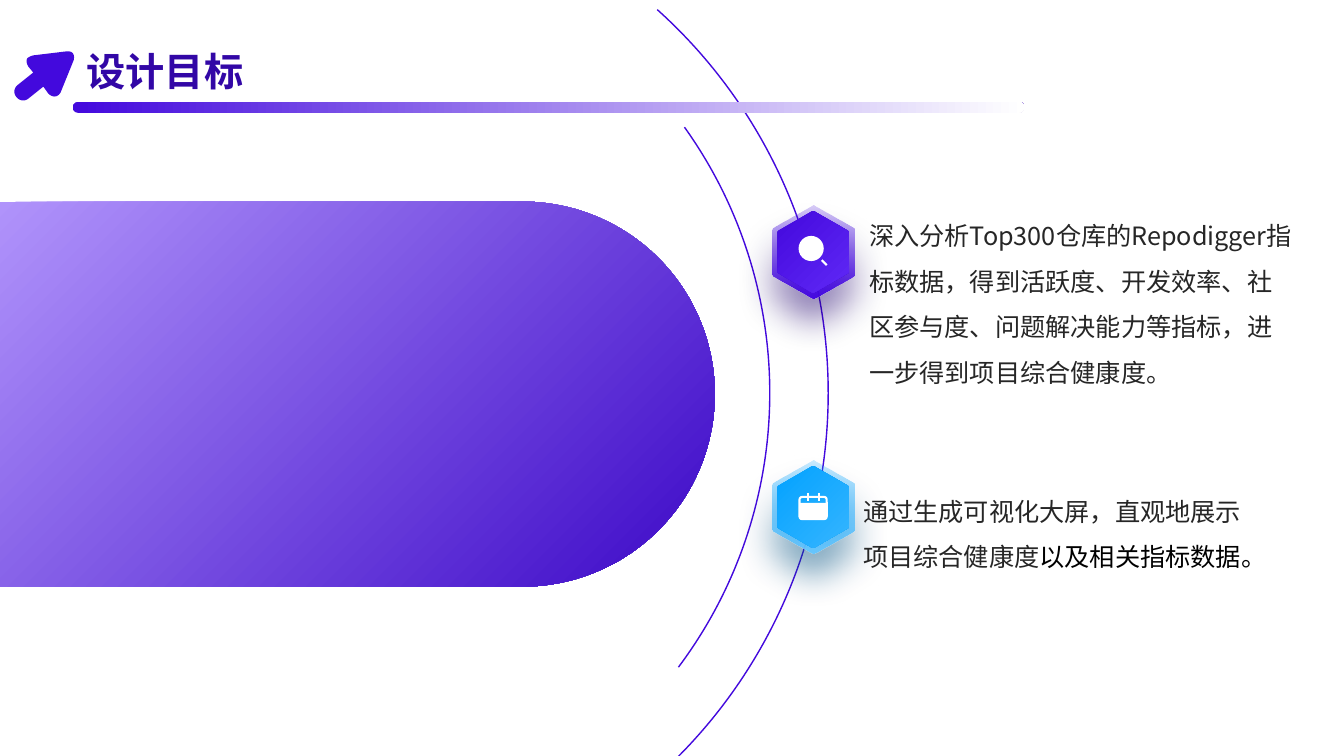
from dataclasses import dataclass
from math import cos, pi, sin

from lxml.etree import SubElement
from pptx import Presentation
from pptx.dml.color import RGBColor
from pptx.enum.shapes import MSO_CONNECTOR, MSO_SHAPE
from pptx.enum.text import MSO_ANCHOR, MSO_AUTO_SIZE, PP_ALIGN
from pptx.oxml.ns import qn
from pptx.util import Pt

PX = 9144  # EMU per px, 100 px to the inch
TITLE_ONLY = 5


@dataclass(frozen=True)
class Theme:
    font: str = "Noto Sans CJK SC"
    title_size: int = 28
    body_size: int = 18
    violet: str = "4309DD"
    title: str = "3207A6"
    body: str = "262626"
    black: str = "000000"
    white: str = "FFFFFF"
    pill: tuple = ("B093FB", "3C08C7")
    violet_badge: tuple = (("4309DD", "4509E2"), ("4309DD", "6028F6"), "21046E")
    blue_badge: tuple = (("03A2FF", "68C7FF"), ("03A2FF", "35B5FF"), "005181")


THEME = Theme()


def rgb(code):
    return RGBColor.from_string(code)


def set_attributes(target, values):
    for name, value in values.items():
        setattr(target, name, value)


# Fills and outlines
def paint(shape, colour=None, angle=0, first_alpha=None):
    """Fill with one colour, a (start, end) gradient, or nothing; angle runs clockwise."""
    shape.shadow.inherit = False
    shape.line.fill.background()
    if colour is None:
        shape.fill.background()
    elif isinstance(colour, str):
        shape.fill.solid()
        shape.fill.fore_color.rgb = rgb(colour)
    else:
        shape.fill.gradient()
        shape.fill.gradient_angle = -angle % 360
        for stop, code in zip(shape.fill.gradient_stops, colour):
            stop.color.rgb = rgb(code)
        if first_alpha is not None:
            first = next(shape.element.iter(qn("a:srgbClr")))
            SubElement(first, qn("a:alpha")).set("val", str(first_alpha * 1000))
    return shape


def outline(shape, colour, width):
    shape.line.color.rgb = rgb(colour)
    shape.line.width = Pt(width)


def drop_shadow(shape, colour, alpha=65, blur=26, distance=16):
    effects = shape.element.spPr.find(qn("a:effectLst"))
    shadow = SubElement(effects, qn("a:outerShdw"), blurRad=str(Pt(blur)),
                        dist=str(Pt(distance)), dir="5400000", algn="t", rotWithShape="0")
    code = SubElement(shadow, qn("a:srgbClr"), val=colour)
    SubElement(code, qn("a:alpha"), val=str(alpha * 1000))


# Shapes, in px
def add_preset(shapes, kind, left, top, width, height, adjustments=()):
    shape = shapes.add_shape(kind, *(round(v * PX) for v in (left, top, width, height)))
    for index, value in enumerate(adjustments):
        shape.adjustments[index] = value
    return shape


def add_outline_shape(shapes, points):
    (x, y), *rest = [(px * PX, py * PX) for px, py in points]
    builder = shapes.build_freeform(x, y, scale=1.0)
    builder.add_line_segments(rest, close=True)
    return builder.convert_to_shape()


def add_stroke(shapes, start, end, colour, width):
    line = shapes.add_connector(MSO_CONNECTOR.STRAIGHT, *(round(v * PX) for v in (*start, *end)))
    SubElement(line.element.spPr, qn("a:effectLst"))
    outline(line, colour, width)


def curve(start, first, second, end, steps=10):
    """Points of a cubic curve after its start."""
    for step in range(1, steps + 1):
        t = step / steps
        weights = ((1 - t) ** 3, 3 * t * (1 - t) ** 2, 3 * t * t * (1 - t), t ** 3)
        yield tuple(sum(w * p[axis] for w, p in zip(weights, (start, first, second, end)))
                    for axis in (0, 1))


def rounded_hexagon(left, top, width, height, cut=0.08):
    ring = ((0.5, 0), (1, 0.25), (1, 0.75), (0.5, 1), (0, 0.75), (0, 0.25))
    corners = [(left + x * width, top + y * height) for x, y in ring]
    points = []
    for index, corner in enumerate(corners):
        before, after = corners[index - 1], corners[(index + 1) % 6]
        start, end = (tuple(c + (n - c) * cut for c, n in zip(corner, near))
                      for near in (before, after))
        points += [start, *curve(start, corner, corner, end)]
    return points


# Text
def write(shape, runs, size, spacing, anchor, bold=False):
    frame = shape.text_frame
    set_attributes(frame, dict(word_wrap=True, auto_size=MSO_AUTO_SIZE.NONE,
                               vertical_anchor=anchor, margin_left=0, margin_right=0,
                               margin_top=0, margin_bottom=0))
    paragraph = frame.paragraphs[0]
    set_attributes(paragraph, dict(alignment=PP_ALIGN.LEFT, line_spacing=spacing))
    for text, colour in runs:
        run = paragraph.add_run()
        run.text = text
        set_attributes(run.font, dict(name=THEME.font, size=Pt(size), bold=bold))
        run.font.color.rgb = rgb(colour)
        SubElement(run.font._element, qn("a:ea")).set("typeface", THEME.font)


# Regions
def add_arcs(slide, center_x, center_y):
    for radius, start, end in ((511.5, 187.17, 28.46), (453.5, 194.66, 22.11)):
        arc = add_preset(slide.shapes, MSO_SHAPE.ARC, center_x - radius, center_y - radius,
                         2 * radius, 2 * radius, (start, end))
        paint(arc)
        outline(arc, THEME.violet, 1)


def add_pill(slide, left, top, width, height):
    radius = height / 2
    middle = left + width - radius
    bend = [(middle + radius * sin(pi * step / 90), top + radius - radius * cos(pi * step / 90))
            for step in range(91)]
    pill = add_outline_shape(slide.shapes, [(left, top), *bend, (left, top + height)])
    paint(pill, THEME.pill, 45)


def add_magnifier(shapes, left, top):
    paint(add_preset(shapes, MSO_SHAPE.OVAL, left, top, 25, 25), THEME.white)
    add_stroke(shapes, (left + 23, top + 24), (left + 28, top + 29), THEME.white, 1.5)


def add_calendar(shapes, left, top):
    frame = add_preset(shapes, MSO_SHAPE.ROUNDED_RECTANGLE, left + 1, top + 4, 27, 22, (0.12,))
    paint(frame)
    outline(frame, THEME.white, 1.5)
    paint(add_preset(shapes, MSO_SHAPE.RECTANGLE, left + 1, top + 10, 27, 16), THEME.white)
    for ring in (9, 20):
        add_stroke(shapes, (left + ring, top), (left + ring, top + 8), THEME.white, 1.5)


def add_badge(slide, left, top, colours, add_icon, icon_top):
    rim_colours, face_colours, shadow_colour = colours
    shapes = slide.shapes.add_group_shape().shapes
    rim = add_outline_shape(shapes, rounded_hexagon(left, top, 81, 94))
    paint(rim, rim_colours, 90, first_alpha=20)
    drop_shadow(rim, shadow_colour)
    face = add_outline_shape(shapes, rounded_hexagon(left + 5, top + 6, 71, 82))
    paint(face, face_colours, 45)
    add_icon(shapes, left + 26, top + icon_top)


def add_goal(slide, left, top, width, height, runs):
    box = slide.shapes.add_textbox(*(v * PX for v in (left, top, width, height)))
    write(box, runs, THEME.body_size, 1.5, MSO_ANCHOR.TOP)


def add_heading(slide, left, top, text):
    title = slide.shapes.title
    set_attributes(title, dict(left=(left + 77) * PX, top=top * PX,
                               width=1167 * PX, height=51 * PX))
    write(title, [(text, THEME.title)], THEME.title_size, 1.1, MSO_ANCHOR.MIDDLE, bold=True)
    rule = add_preset(slide.shapes, MSO_SHAPE.ROUNDED_RECTANGLE, left + 63, top + 59,
                      944, 11, (0.5,))
    paint(rule, (THEME.violet, THEME.white))
    # Arrow: straight steps have one point, curved steps three
    steps = [[(18, 16)], [(17, 18), (17, 20), (19, 24)], [(24, 30)], [(9, 42)],
             [(5, 45), (4, 50), (7, 54)], [(10, 58), (15, 59), (19, 56)], [(34, 44)],
             [(39, 51)], [(39, 51), (46, 58), (51, 50)], [(64, 18)],
             [(64, 18), (67, 8), (57, 9)], [(24, 13)], [(24, 13), (20, 14), (18, 16)]]
    points = []
    for step in steps:
        points += step if len(step) == 1 else curve(points[-1], *step)
    arrow = add_outline_shape(slide.shapes, [(left + x, top + y) for x, y in points])
    paint(arrow, THEME.violet)


def main():
    presentation = Presentation()
    set_attributes(presentation, dict(slide_width=1333 * PX, slide_height=750 * PX))
    slide = presentation.slides.add_slide(presentation.slide_layouts[TITLE_ONLY])
    add_arcs(slide, 310, 390)
    add_pill(slide, 0, 200, 709, 382)
    add_badge(slide, 766, 203, THEME.violet_badge, add_magnifier, 31)
    add_goal(slide, 862, 204, 420, 169, [
        ("深入分析Top300仓库的Repodigger指标数据，得到活跃度、开发效率、社区参与度、"
         "问题解决能力等指标，进一步得到项目综合健康度。", THEME.body)])
    add_badge(slide, 766, 456, THEME.blue_badge, add_calendar, 33)
    add_goal(slide, 856, 477, 391, 182, [
        ("通过生成可视化大屏，直观地展示项目综合健康度", THEME.body),
        ("以及相关指标数据。", THEME.black)])
    add_heading(slide, 9, 42, "设计目标")
    presentation.save("out.pptx")


if __name__ == "__main__":
    main()
